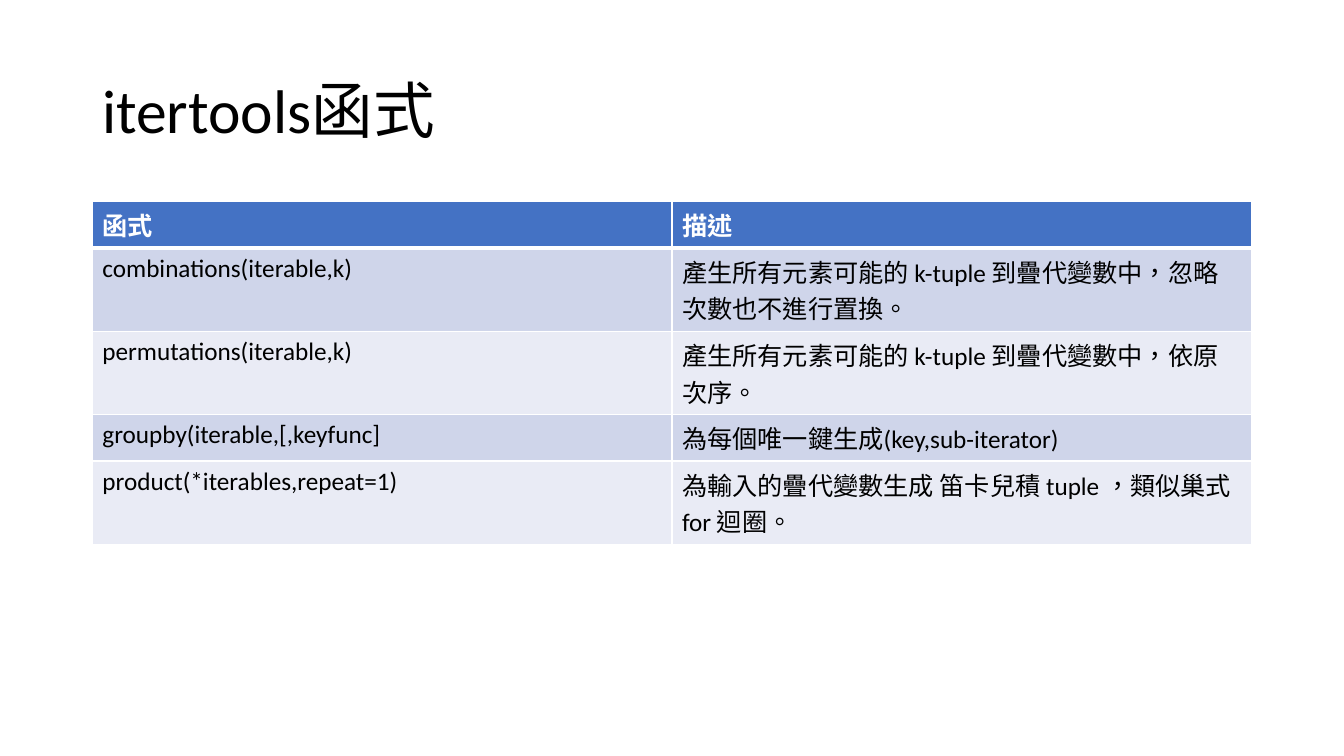
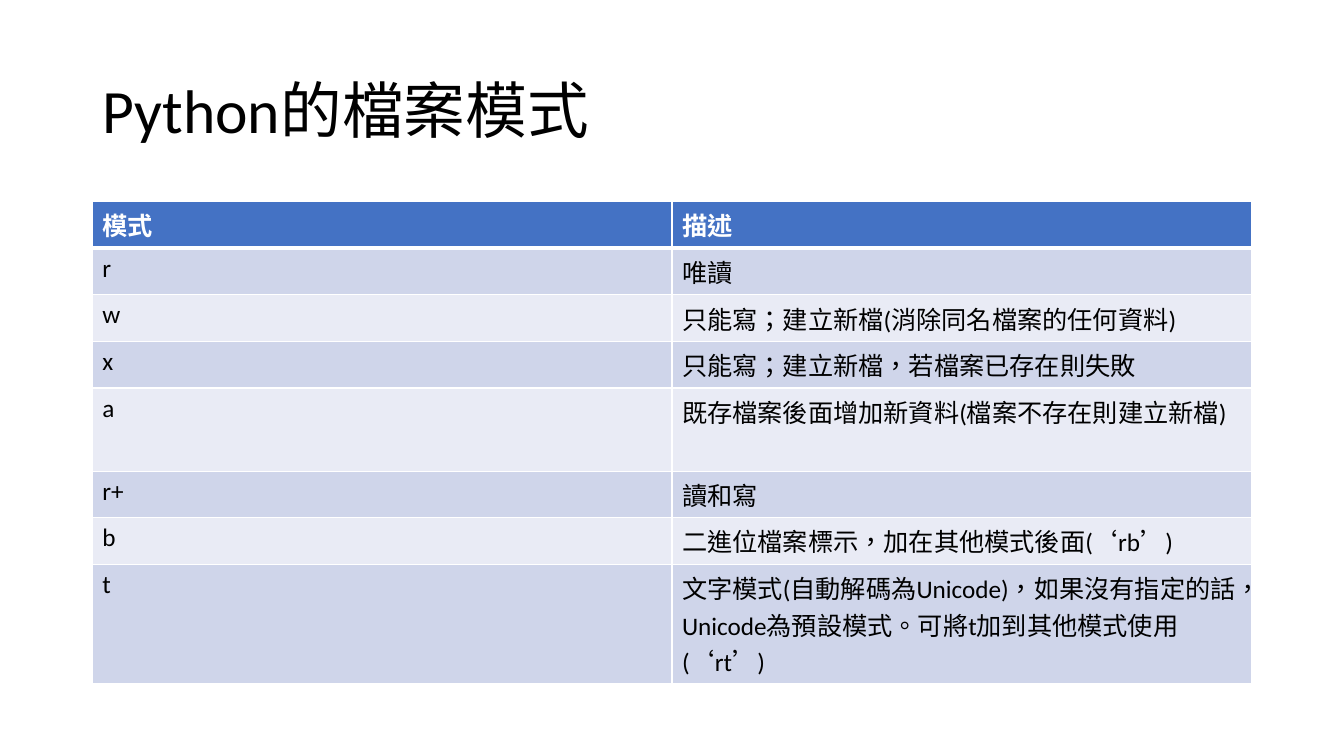
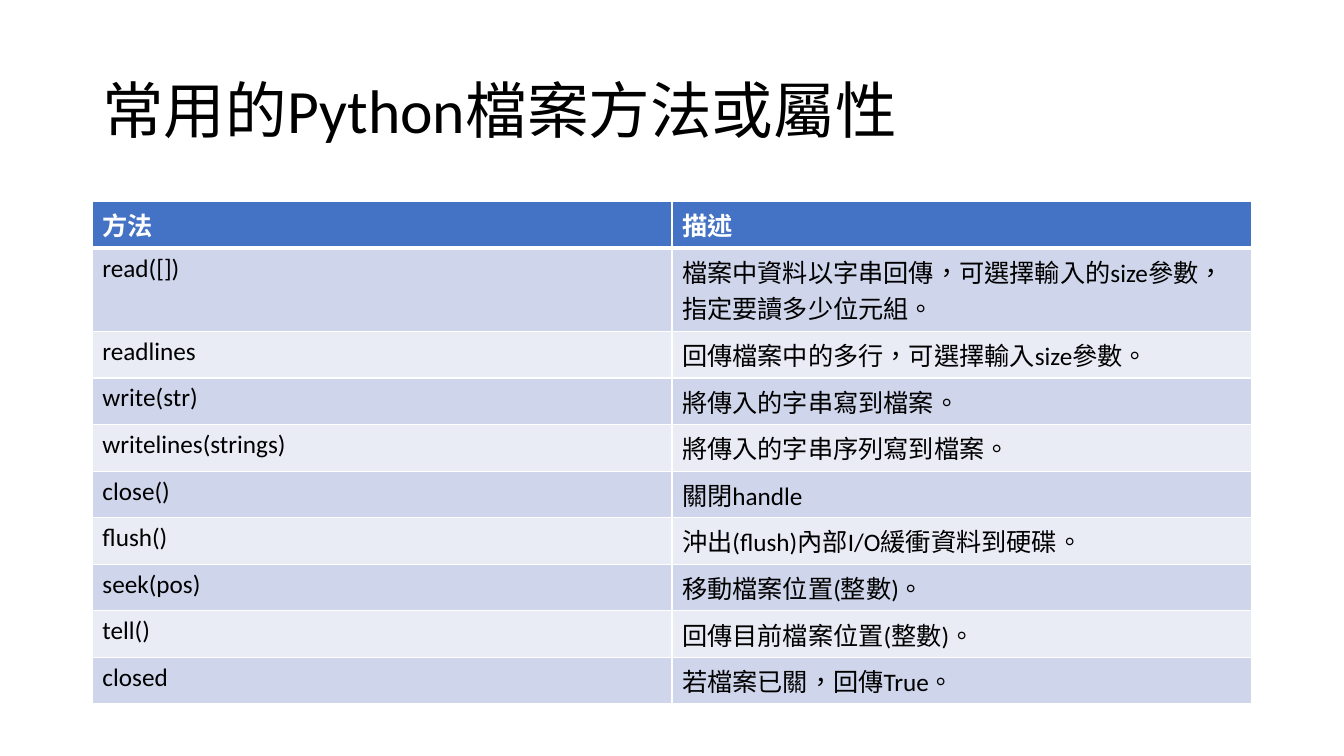
"""Build three slides of Python reference tables."""
from lxml import etree
from pptx import Presentation
from pptx.dml.color import RGBColor
from pptx.enum.lang import MSO_LANGUAGE_ID
from pptx.enum.text import MSO_ANCHOR
from pptx.oxml.ns import qn
from pptx.util import Emu, Pt

PX = 3810
FONT = "Calibri"
MIDDLE = MSO_ANCHOR.MIDDLE
CHINESE = MSO_LANGUAGE_ID.TRADITIONAL_CHINESE
COLORS = {
    "text": "000000",
    "header": "4472C4",
    "odd_row": "CFD5EA",
    "even_row": "E9EBF5",
    "white": "FFFFFF",
}
SLIDE_WIDTH, SLIDE_HEIGHT = 3200, 1800
LEFT, CONTENT_WIDTH = 220, 2760
TITLE_TOP, TITLE_HEIGHT = 96, 348
TABLE_TOP, ROW_PADDING, LINE_HEIGHT = 480, 24, 87
THIN, THICK = 1, 3

PAGES = [
    ("itertools函式", {1: 2, 2: 2, 4: 2}, [
        ("函式", "描述"),
        ("combinations(iterable,k)", "產生所有元素可能的 k-tuple 到疊代變數中，忽略次數也不進行置換。"),
        ("permutations(iterable,k)", "產生所有元素可能的 k-tuple 到疊代變數中，依原次序。"),
        ("groupby(iterable,[,keyfunc]", "為每個唯一鍵生成(key,sub-iterator)"),
        ("product(*iterables,repeat=1)", "為輸入的疊代變數生成 笛卡兒積 tuple ，類似巢式for 迴圈。"),
    ]),
    ("Python的檔案模式", {4: 2, 7: 3}, [
        ("模式", "描述"),
        ("r", "唯讀"),
        ("w", "只能寫；建立新檔(消除同名檔案的任何資料)"),
        ("x", "只能寫；建立新檔，若檔案已存在則失敗"),
        ("a", "既存檔案後面增加新資料(檔案不存在則建立新檔)"),
        ("r+", "讀和寫"),
        ("b", "二進位檔案標示，加在其他模式後面(‘rb’)"),
        ("t", "文字模式(自動解碼為Unicode)，如果沒有指定的話，Unicode為預設模式。可將t加到其他模式使用(‘rt’)"),
    ]),
    ("常用的Python檔案方法或屬性", {1: 2}, [
        ("方法", "描述"),
        ("read([])", "檔案中資料以字串回傳，可選擇輸入的size參數，指定要讀多少位元組。"),
        ("readlines", "回傳檔案中的多行，可選擇輸入size參數。"),
        ("write(str)", "將傳入的字串寫到檔案。"),
        ("writelines(strings)", "將傳入的字串序列寫到檔案。"),
        ("close()", "關閉handle"),
        ("flush()", "沖出(flush)內部I/O緩衝資料到硬碟。"),
        ("seek(pos)", "移動檔案位置(整數)。"),
        ("tell()", "回傳目前檔案位置(整數)。"),
        ("closed", "若檔案已關，回傳True。"),
    ]),
]


def px(length):
    """Turn pixels into EMU."""
    return Emu(length * PX)


def write_text(frame, text, size=18, color="text", bold=False, spacing=None):
    """Write one formatted paragraph into a text frame."""
    frame.word_wrap = True
    paragraph = frame.paragraphs[0]
    paragraph.line_spacing = spacing
    run = paragraph.add_run()
    run.text = text
    run.font.name = FONT
    run.font.size = Pt(size)
    run.font.bold = bold
    run.font.color.rgb = RGBColor.from_string(COLORS[color])
    run.font.language_id = CHINESE


def set_borders(cell, top, bottom):
    """Give a cell white borders, with widths in points."""
    properties = cell._tc.get_or_add_tcPr()
    for side, width in (("L", THIN), ("R", THIN), ("T", top), ("B", bottom)):
        line = etree.SubElement(properties, qn(f"a:ln{side}"), w=str(Pt(width)))
        fill = etree.SubElement(line, qn("a:solidFill"))
        etree.SubElement(fill, qn("a:srgbClr"), val=COLORS["white"])


def add_title(slide, title):
    """Add the slide title."""
    heading = slide.shapes.add_textbox(
        px(LEFT), px(TITLE_TOP), px(CONTENT_WIDTH), px(TITLE_HEIGHT))
    heading.text_frame.vertical_anchor = MIDDLE
    write_text(heading.text_frame, title, size=44, spacing=0.9)


def add_reference_table(slide, entries, tall_rows):
    """Add a banded table; tall_rows maps a row to its number of lines."""
    heights = [ROW_PADDING + LINE_HEIGHT * tall_rows.get(row, 1)
               for row in range(len(entries))]
    table = slide.shapes.add_table(
        len(entries), len(entries[0]), px(LEFT), px(TABLE_TOP),
        px(CONTENT_WIDTH), px(sum(heights))).table
    for row, entry in enumerate(entries):
        table.rows[row].height = px(heights[row])
        is_header = row == 0
        band = "header" if is_header else "odd_row" if row % 2 else "even_row"
        for column, text in enumerate(entry):
            cell = table.cell(row, column)
            set_borders(cell, top=THICK if row == 1 else THIN,
                        bottom=THICK if is_header else THIN)
            cell.fill.solid()
            cell.fill.fore_color.rgb = RGBColor.from_string(COLORS[band])
            write_text(cell.text_frame, text, bold=is_header,
                       color="white" if is_header else "text")


def main():
    """Build and save the presentation."""
    presentation = Presentation()
    presentation.slide_width = px(SLIDE_WIDTH)
    presentation.slide_height = px(SLIDE_HEIGHT)
    blank = presentation.slide_layouts[6]
    for title, tall_rows, entries in PAGES:
        slide = presentation.slides.add_slide(blank)
        add_title(slide, title)
        add_reference_table(slide, entries, tall_rows)
    presentation.save("out.pptx")


if __name__ == "__main__":
    main()
